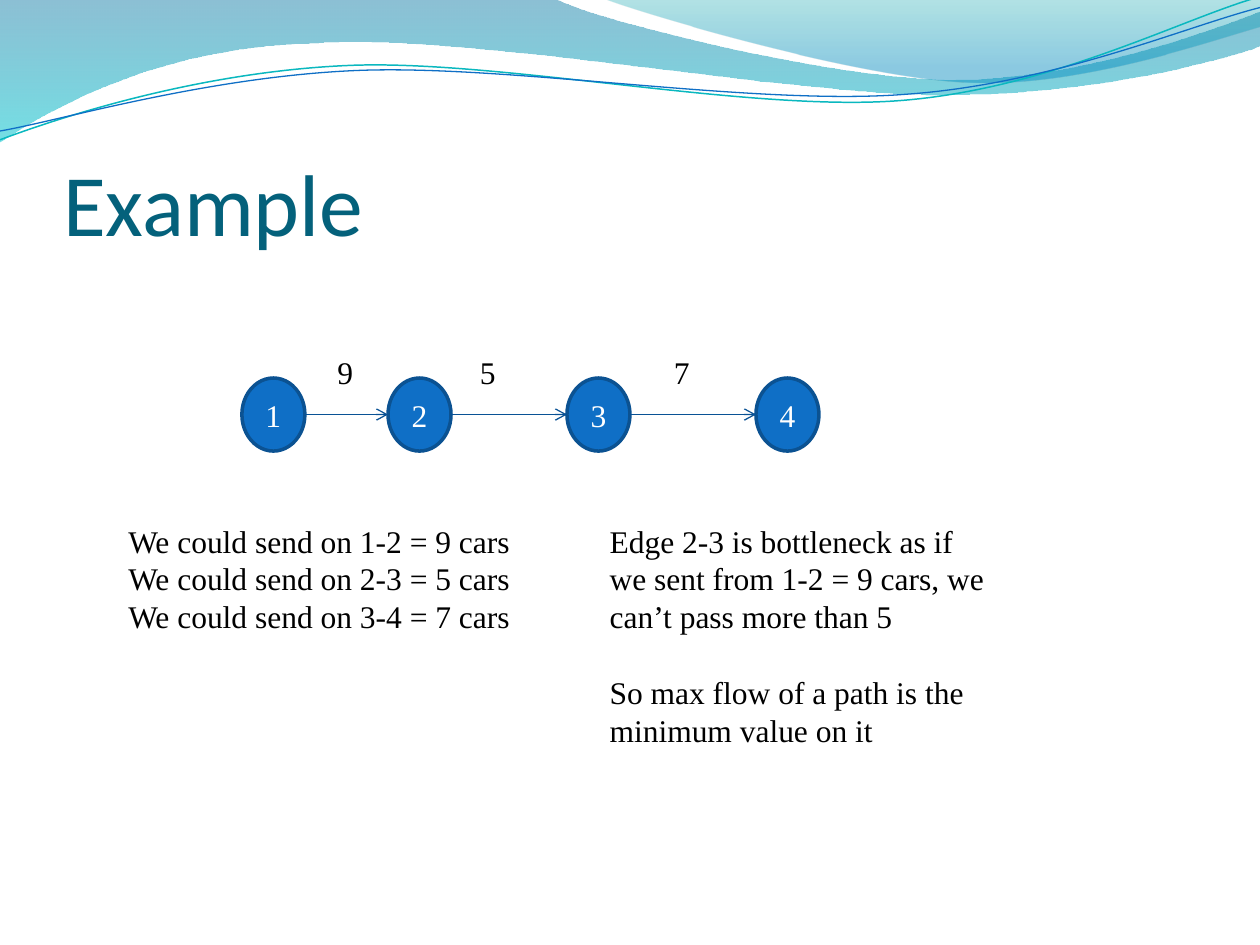
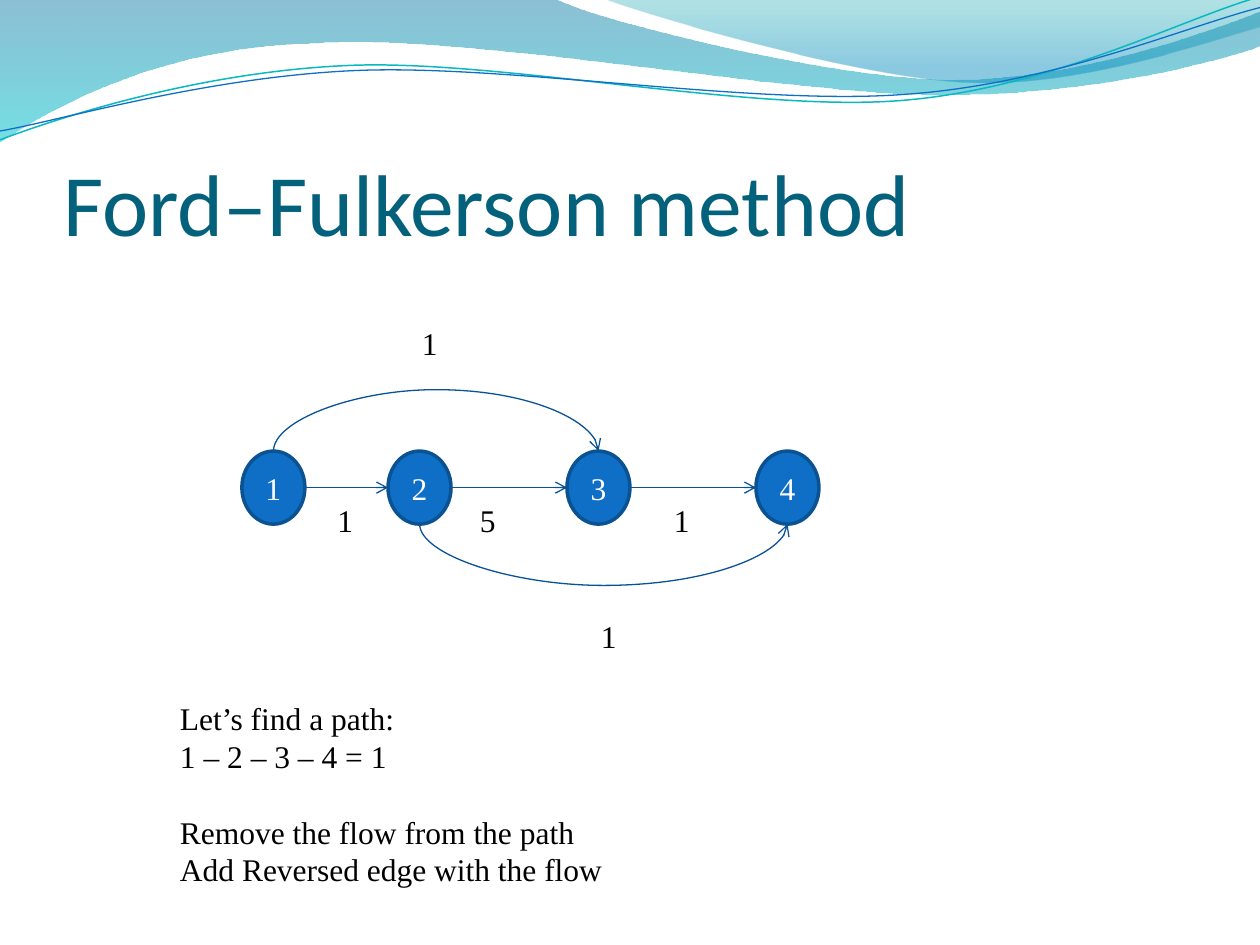
from lxml.etree import SubElement
from pptx import Presentation
from pptx.dml.color import RGBColor
from pptx.enum.shapes import MSO_CONNECTOR as CONNECTOR, MSO_SHAPE as SHAPE
from pptx.enum.text import MSO_ANCHOR as ANCHOR, MSO_AUTO_SIZE as AUTO_SIZE, PP_ALIGN as ALIGN
from pptx.oxml.ns import qn
from pptx.util import Emu, Pt

PX = 9144
TITLE_ONLY = 5
TITLE_FONT, BODY_FONT = "Calibri", "Times New Roman"
COLORS = {
    "title": "04617B", "text": "000000", "node": "0F6FC6", "node_line": "0B5292",
    "node_text": "FFFFFF", "edge": "095295", "wave_top": "0074A1", "wave_bottom": "00C6CF",
    "crest_top": "00A1A9", "crest_bottom": "008BBF", "teal_line": "0AB8BF", "blue_line": "0F6FC6",
}

WAVE = [(0, 0), (440, -1), (476, 17, 664, 63, 758, 63), (853, 63, 958, 26, 1000, 9),
        (1001, 36), (983, 44, 870, 76, 746, 75), (622, 75, 382, 28, 257, 34),
        (129, 36, 46, 83, -1, 113), (0, 0)]
CREST = [(479, -1), (509, 11, 682, 62, 769, 65), (856, 69, 961, 32, 1000, 21), (1000, 0),
         (479, -1)]
TEAL_CURVE = [(0, 111), (48, 93, 158, 57, 277, 52), (395, 47, 593, 89, 713, 80),
              (833, 71, 938, 15, 998, -2)]
BLUE_CURVE = [(0, 104), (47, 96, 164, 61, 283, 56), (403, 51, 597, 84, 717, 75),
              (836, 67, 941, 21, 1000, 6)]

NODE_WIDTH, NODE_HEIGHT = 50, 58
NODE_LEFTS = [0, 116, 258, 408]
LABEL_LEFTS = [66, 179, 333]
LABEL_WIDTH, LABEL_HEIGHT = 33, 40
TOP_SITE, LEFT_SITE, BOTTOM_SITE, RIGHT_SITE = 0, 2, 4, 6
ARC_WIDTH, ARC_BEND = 1588, 30972100


def px(*lengths):
    """Turn px lengths into EMU."""
    return [Emu(length * PX) for length in lengths]


def color(name):
    """Look up a named colour."""
    return RGBColor.from_string(COLORS[name])


def add_outline(slide, steps, close):
    """Draw a freeform whose six-number steps are cubic curves."""
    corners = [px(*step[-2:]) for step in steps]
    builder = slide.shapes.build_freeform(*corners[0], scale=1)
    builder.add_line_segments(corners[1:], close=close)
    shape = builder.convert_to_shape()
    shape.shadow.inherit = False
    segments = list(shape.element.iter(qn("a:lnTo")))
    for segment, step in zip(segments, steps[1:]):
        if len(step) == 6:
            bend_segment(shape, segment, px(*step))
    return shape


def bend_segment(shape, segment, lengths):
    """Replace a straight segment by a cubic curve."""
    outline = segment.getparent()
    curve = SubElement(outline, qn("a:cubicBezTo"))
    for x, y in zip(lengths[::2], lengths[1::2]):
        point = SubElement(curve, qn("a:pt"))
        point.set("x", str(x - shape.left))
        point.set("y", str(y - shape.top))
    outline.replace(segment, curve)


def add_band(slide, steps, stops):
    """Draw a closed band with a see-through vertical gradient."""
    shape = add_outline(slide, steps, True)
    shape.line.fill.background()
    shape.fill.gradient()
    shape.fill.gradient_angle = 270
    for stop, (position, name, _) in zip(shape.fill.gradient_stops, stops):
        stop.position = position
        stop.color.rgb = color(name)
    for tint, (_, _, opacity) in zip(shape.element.iter(qn("a:srgbClr")), stops):
        SubElement(tint, qn("a:alpha")).set("val", str(opacity * 1000))
    return shape


def add_curve(slide, steps, name, weight):
    """Draw an open curved line."""
    shape = add_outline(slide, steps, False)
    shape.fill.background()
    shape.line.color.rgb = color(name)
    shape.line.width = Pt(weight)
    return shape


def decorate_master(presentation, slide):
    """Build the wave header and move it behind the master's placeholders."""
    header = [
        add_band(slide, WAVE, [(0, "wave_top", 45), (1, "wave_bottom", 55)]),
        add_band(slide, CREST, [(0, "crest_top", 30), (0.8, "crest_bottom", 45)]),
        add_curve(slide, TEAL_CURVE, "teal_line", 0.85),
        add_curve(slide, BLUE_CURVE, "blue_line", 0.75),
    ]
    tree = presentation.slide_master.placeholders[0].element.getparent()
    for index, shape in enumerate(header, start=2):
        tree.insert(index, shape.element)


def style(paragraph, size, font, name, align=ALIGN.LEFT):
    """Set a paragraph's font and alignment."""
    paragraph.font.size = Pt(size)
    paragraph.font.name = font
    paragraph.font.color.rgb = color(name)
    paragraph.alignment = align


def set_title(slide, text):
    """Fill and place the title."""
    title = slide.shapes.title
    title.left, title.top, title.width, title.height = px(50, 77, 900, 125)
    frame = title.text_frame
    frame.text = text
    frame.auto_size = AUTO_SIZE.NONE
    frame.vertical_anchor = ANCHOR.BOTTOM
    frame.margin_left = frame.margin_right = frame.margin_bottom = 0
    style(frame.paragraphs[0], 50, TITLE_FONT, "title")


def add_text(slide, box, blocks, wrap=True):
    """Write blocks of lines, with one line of space between blocks."""
    frame = slide.shapes.add_textbox(*px(*box)).text_frame
    frame.word_wrap = wrap
    frame.text = "\n".join(line for block in blocks for line in block)
    for paragraph in frame.paragraphs:
        style(paragraph, 18, BODY_FONT, "text")
    start = 0
    for block in blocks[:-1]:
        start += len(block)
        frame.paragraphs[start].space_before = Pt(21.6)


def add_label(slide, left, top, text):
    """Write the capacity of one edge."""
    add_text(slide, (left, top, LABEL_WIDTH, LABEL_HEIGHT), [[text]], wrap=False)


def add_node(slide, left, top, text):
    """Draw one numbered node."""
    node = slide.shapes.add_shape(SHAPE.OVAL, *px(left, top, NODE_WIDTH, NODE_HEIGHT))
    node.shadow.inherit = False
    node.fill.solid()
    node.fill.fore_color.rgb = color("node")
    node.line.color.rgb = color("node_line")
    node.line.width = Pt(2)
    node.text_frame.text = text
    node.text_frame.vertical_anchor = ANCHOR.MIDDLE
    style(node.text_frame.paragraphs[0], 18, BODY_FONT, "node_text", ALIGN.CENTER)
    return node


def add_edge(slide, kind, source, target, sites, ends):
    """Draw an arrow glued to two nodes' connection sites."""
    edge = slide.shapes.add_connector(kind, *ends)
    edge.line.color.rgb = color("edge")
    edge.line.width = Pt(0.75)
    properties = edge.element.spPr
    SubElement(properties.find(qn("a:ln")), qn("a:tailEnd")).set("type", "arrow")
    SubElement(properties, qn("a:effectLst"))
    glue = edge.element.find(qn("p:nvCxnSpPr")).find(qn("p:cNvCxnSpPr"))
    for tag, node, site in zip(("a:stCxn", "a:endCxn"), (source, target), sites):
        end = SubElement(glue, qn(tag))
        end.set("id", str(node.shape_id))
        end.set("idx", str(site))
    return edge


def add_straight_edge(slide, source, target):
    """Draw a level arrow between neighbouring nodes."""
    middle = source.top + source.height // 2
    ends = (source.left + source.width, middle, target.left, middle)
    add_edge(slide, CONNECTOR.STRAIGHT, source, target, (RIGHT_SITE, LEFT_SITE), ends)


def add_arc(slide, source, target, above):
    """Draw a curved arrow over or under the nodes in between."""
    start, end = (node.left + node.width // 2 for node in (source, target))
    level = source.top if above else source.top + source.height
    site = TOP_SITE if above else BOTTOM_SITE
    arc = add_edge(slide, CONNECTOR.CURVE, source, target, (site, site),
                   (start, level, end, level))
    span = end - start
    arc.left, arc.top = Emu((start + end - ARC_WIDTH) // 2), Emu(level - span // 2)
    arc.width, arc.height = Emu(ARC_WIDTH), Emu(span)
    properties = arc.element.spPr
    frame = properties.find(qn("a:xfrm"))
    frame.set("rot", "5400000" if above else "16200000")
    frame.set("flipH", "1")
    frame.set("flipV", "1" if above else "0")
    geometry = properties.find(qn("a:prstGeom"))
    for old in list(geometry):
        geometry.remove(old)
    guide = SubElement(SubElement(geometry, qn("a:avLst")), qn("a:gd"))
    guide.set("name", "adj1")
    guide.set("fmla", f"val {ARC_BEND}")


def add_graph(slide, left, top, capacities, label_offset):
    """Draw the chain of four nodes with its edge capacities."""
    nodes = [add_node(slide, left + offset, top, str(number))
             for number, offset in enumerate(NODE_LEFTS, start=1)]
    for source, target in zip(nodes, nodes[1:]):
        add_straight_edge(slide, source, target)
    for offset, capacity in zip(LABEL_LEFTS, capacities):
        add_label(slide, left + offset, top + label_offset, capacity)
    return nodes


def fill_example(slide):
    """Compose the bottleneck example."""
    set_title(slide, "Example")
    add_graph(slide, 192, 300, "957", -25)
    add_text(slide, (92, 409, 326, 162), [[
        f"We could send on {edge} = {cars} cars"
        for edge, cars in (("1-2", 9), ("2-3", 5), ("3-4", 7))]])
    add_text(slide, (474, 409, 326, 222), [
        ["Edge 2-3 is bottleneck as if we sent from 1-2 = 9 cars, we can’t pass more than 5"],
        ["So max flow of a path is the minimum value on it"]])


def fill_method(slide):
    """Compose the first step of the method."""
    left, top = 192, 358
    set_title(slide, "Ford–Fulkerson method")
    nodes = add_graph(slide, left, top, "151", 35)
    add_arc(slide, nodes[0], nodes[2], above=True)
    add_arc(slide, nodes[1], nodes[3], above=False)
    add_label(slide, left + 133, top - 106, "1")
    add_label(slide, left + 275, top + 127, "1")
    add_text(slide, (133, 550, 359, 162), [
        ["Let’s find a path:", "1 – 2 – 3 – 4 = 1"],
        ["Remove the flow from the path", "Add Reversed edge with the flow"]], wrap=False)


def main():
    """Build and save the presentation."""
    presentation = Presentation()
    presentation.slide_width, presentation.slide_height = px(1000, 750)
    layout = presentation.slide_layouts[TITLE_ONLY]
    slides = [presentation.slides.add_slide(layout) for _ in range(2)]
    decorate_master(presentation, slides[0])
    fill_example(slides[0])
    fill_method(slides[1])
    presentation.save("out.pptx")


if __name__ == "__main__":
    main()
